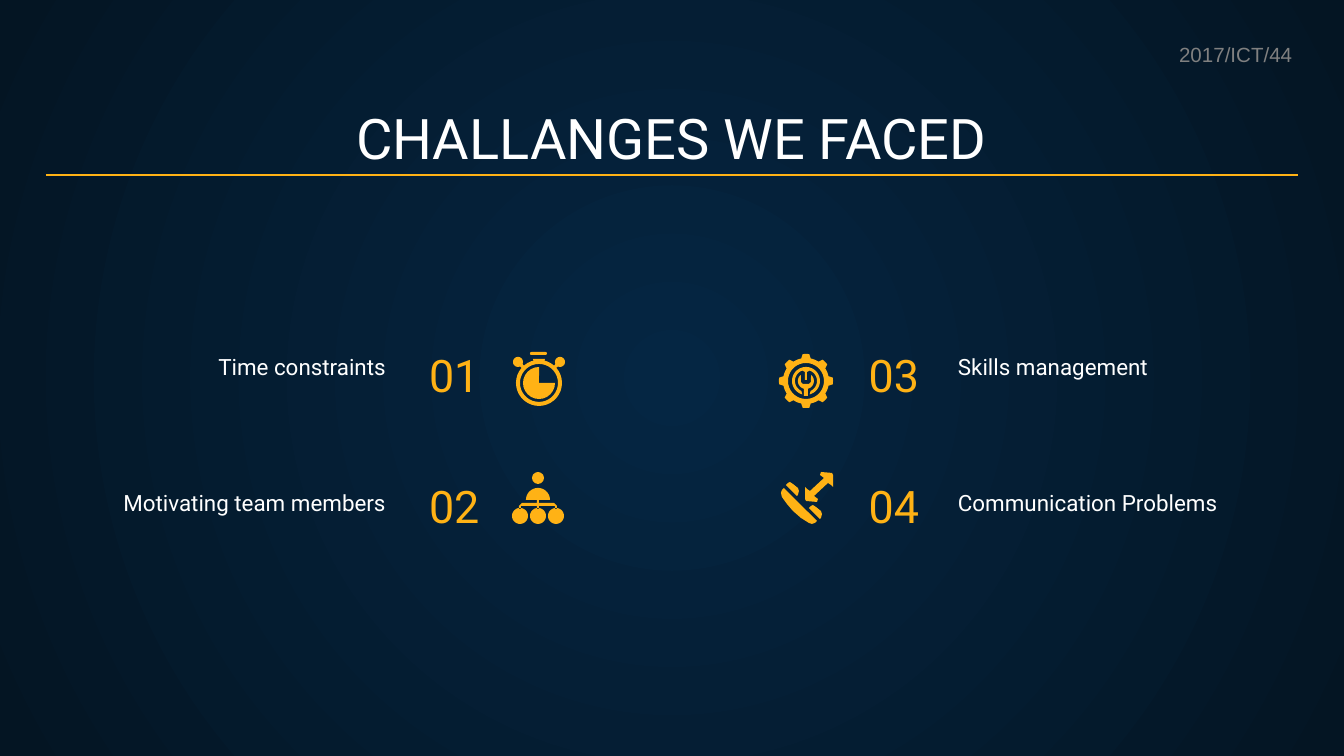
from math import cos, radians, sin

from lxml import etree
from pptx import Presentation
from pptx.dml.color import RGBColor
from pptx.enum.shapes import MSO_CONNECTOR, MSO_SHAPE
from pptx.enum.text import MSO_ANCHOR, PP_ALIGN
from pptx.oxml.ns import qn
from pptx.util import Pt

PX = 914400 / 134.4
LEFT, MID, RIGHT = PP_ALIGN.LEFT, PP_ALIGN.CENTER, PP_ALIGN.RIGHT
TOP, BOTTOM = MSO_ANCHOR.TOP, MSO_ANCHOR.BOTTOM
OVAL, PIE, PILL = MSO_SHAPE.OVAL, MSO_SHAPE.PIE, MSO_SHAPE.ROUNDED_RECTANGLE
LINE = MSO_CONNECTOR.STRAIGHT
COLORS = {"gold": "FFB215", "white": "FFFFFF", "gray": "808080",
          "inner": "052643", "outer": "041523"}


def emu(n):
    return round(n * PX)


def rgb(name):
    return RGBColor.from_string(COLORS[name])


def arc(x, y, r, start=0, end=360, steps=36):
    """Points on an arc, with angles in degrees clockwise from the right."""
    turns = [radians(start + (end - start) * i / steps) for i in range(steps + 1)]
    return [(x + r * cos(t), y + r * sin(t)) for t in turns]


def shift(points, dx, dy):
    return [(x + dx, y + dy) for x, y in points]


class Deck:
    font = "Roboto"

    def __init__(self, wide, high):
        self.prs = Presentation()
        self.prs.slide_width, self.prs.slide_height = emu(wide), emu(high)
        self.slide = self.prs.slides.add_slide(self.prs.slide_layouts[6])
        self.shapes = self.slide.shapes

    def glow(self, inner, outer):
        fill = self.slide.background.fill
        fill.gradient()
        for stop, name in zip(fill.gradient_stops, (inner, outer)):
            stop.color.rgb = rgb(name)
        grad = self.slide.element.find(".//" + qn("a:gradFill"))
        grad.remove(grad.find(qn("a:lin")))
        way = etree.SubElement(grad, qn("a:path"), path="circle")
        etree.SubElement(way, qn("a:fillToRect"),
                         {side: "50000" for side in "ltrb"})

    def text(self, words, x, y, w, h, size, color, align=LEFT,
             anchor=BOTTOM, pad=13, font=font, wrap=True):
        box = self.shapes.add_textbox(emu(x), emu(y), emu(w), emu(h))
        frame = box.text_frame
        frame.word_wrap, frame.vertical_anchor = wrap, anchor
        frame.margin_left = frame.margin_right = emu(13)
        frame.margin_top = frame.margin_bottom = emu(pad)
        para = frame.paragraphs[0]
        para.text, para.alignment = words, align
        para.font.name, para.font.size = font, Pt(size)
        para.font.color.rgb = rgb(color)

    def line(self, x1, y1, x2, y2, width):
        rule = self.shapes.add_connector(LINE, emu(x1), emu(y1), emu(x2), emu(y2))
        rule.line.color.rgb, rule.line.width = rgb("gold"), Pt(width)
        etree.SubElement(rule.element.spPr, qn("a:effectLst"))

    def paint(self, shape):
        shape.shadow.inherit = False
        shape.fill.solid()
        shape.fill.fore_color.rgb = rgb("gold")
        shape.line.fill.background()

    def shape(self, kind, x, y, w, h, adjust=None):
        shape = self.shapes.add_shape(kind, emu(x), emu(y), emu(w), emu(h))
        if adjust is not None:
            shape.adjustments[0] = adjust
        self.paint(shape)

    def outline(self, *loops):
        loops = [[(emu(x), emu(y)) for x, y in loop] for loop in loops]
        pen = self.shapes.build_freeform(*loops[0][0])
        pen.add_line_segments(loops[0][1:])
        for loop in loops[1:]:
            pen.move_to(*loop[0])
            pen.add_line_segments(loop[1:])
        self.paint(pen.convert_to_shape())


def draw_watch(deck):
    x, y = 539, 383
    deck.shape(PIE, x - 16, y - 16, 32, 32)
    deck.shape(PILL, 530, 352, 17, 3, 0.5)
    # Case with its neck, arms and bells
    loops = [arc(x, y, 23), arc(x, y, 19),
             arc(x, y, 23, 256, 284) + [(x + 6, 359), (x - 6, 359)]]
    for turn in (225, 315):
        loops.append(arc(x, y, 23, turn - 4, turn + 4, 4)
                     + arc(x, y, 25, turn + 4, turn - 4, 4))
    for side in (-1, 1):
        loops.append(arc(x + 21 * side, 362, 5))
    deck.outline(*loops)


def draw_gear(deck):
    x, y = 806, 381
    teeth = []
    for turn in range(0, 360, 45):
        teeth += arc(x, y, 27, turn - 7, turn + 7, 4)
        teeth += arc(x, y, 23, turn + 12, turn + 33, 4)
    deck.outline(teeth, arc(x, y, 18))
    # Broken ring with a slot at the top
    slot = shift([(1, -9), (1, -1), (-1, -1), (-1, -9)], x, y)
    deck.outline(arc(x, y, 14, 105, 435) + arc(x, y, 11, 65, -70)
                 + slot + arc(x, y, 11, 250, 115))
    # Wrench
    jaw = shift([(5, 1), (3, 3), (-3, 3), (-5, 1)], x, y)
    stem = shift([(-2, 15), (2, 15)], x, y)
    deck.outline(arc(x, y, 8, 230, 105) + stem + arc(x, y, 8, 75, -50) + jaw)


def draw_team(deck):
    x = 538
    deck.shape(OVAL, x - 6, 472, 12, 12)
    # Torso, branches and the three members below
    side = [(1, 500), (1, 503), (16, 503), (19, 506), (19, 509), (17, 509),
            (17, 506), (1, 506), (1, 509)]
    branch = side + [(-dx, y) for dx, y in reversed(side)]
    deck.outline(arc(x, 500, 12, 180, 360) + shift(branch, x, 0),
                 *[arc(x + dx, 516, 8) for dx in (-18, 0, 18)])


def draw_phone(deck):
    half = [(2, -15), (1, -12), (5, -9), (-9, 4), (-12, 2), (-14, 0),
            (-14, 12), (-13, 14)]
    deck.outline(shift(half + [(-x, -y) for x, y in half], 819, 487))
    cup = [(786, 485), (788, 483), (790, 482), (793, 484), (798, 488),
           (799, 491), (798, 495), (797, 496)]
    for step in (0, 23):
        deck.outline(shift(cup, step, step))
    deck.outline([(784, 488), (782, 490), (781, 493), (782, 497), (787, 504),
                  (793, 511), (801, 518), (809, 523), (812, 524), (815, 523),
                  (817, 521)])


def main():
    deck = Deck(1344, 756)
    deck.glow("inner", "outer")

    # Heading
    deck.text("CHALLANGES WE FACED", 45, 95, 1253, 89, 30, "white", MID)
    deck.line(46, 175, 1298, 175, 0.75)
    deck.text("2017/ICT/44", 1166, 35, 141, 39, 11, "gray", anchor=TOP,
              pad=7, font="Arial", wrap=False)

    # Numbered challenges, two to a column
    sides = ((94, RIGHT, 416, LEFT, ("Time constraints", "Motivating team members")),
             (945, LEFT, 759, RIGHT, ("Skills management", "Communication Problems")))
    rows = ((365, 326), (501, 457))
    count = 0
    for label_x, label_way, num_x, num_way, labels in sides:
        for label, (label_y, num_y) in zip(labels, rows):
            count += 1
            deck.text(f"{count:02}", num_x, num_y, 173, 89, 24, "gold", num_way)
            deck.text(label, label_x, label_y, 305, 28, 12, "white", label_way)

    # Icons
    for draw in (draw_watch, draw_gear, draw_team, draw_phone):
        draw(deck)
    deck.prs.save("out.pptx")


if __name__ == "__main__":
    main()
